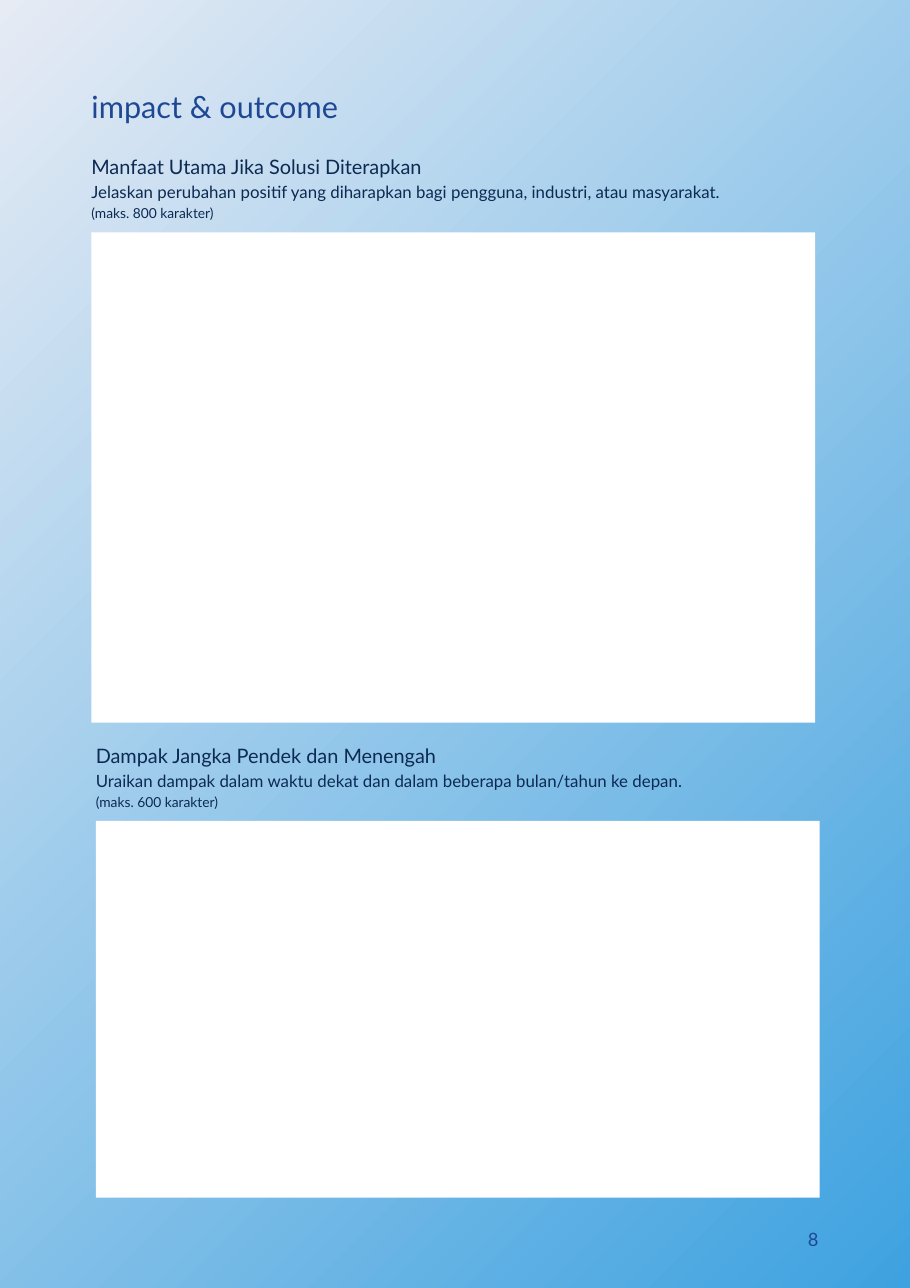
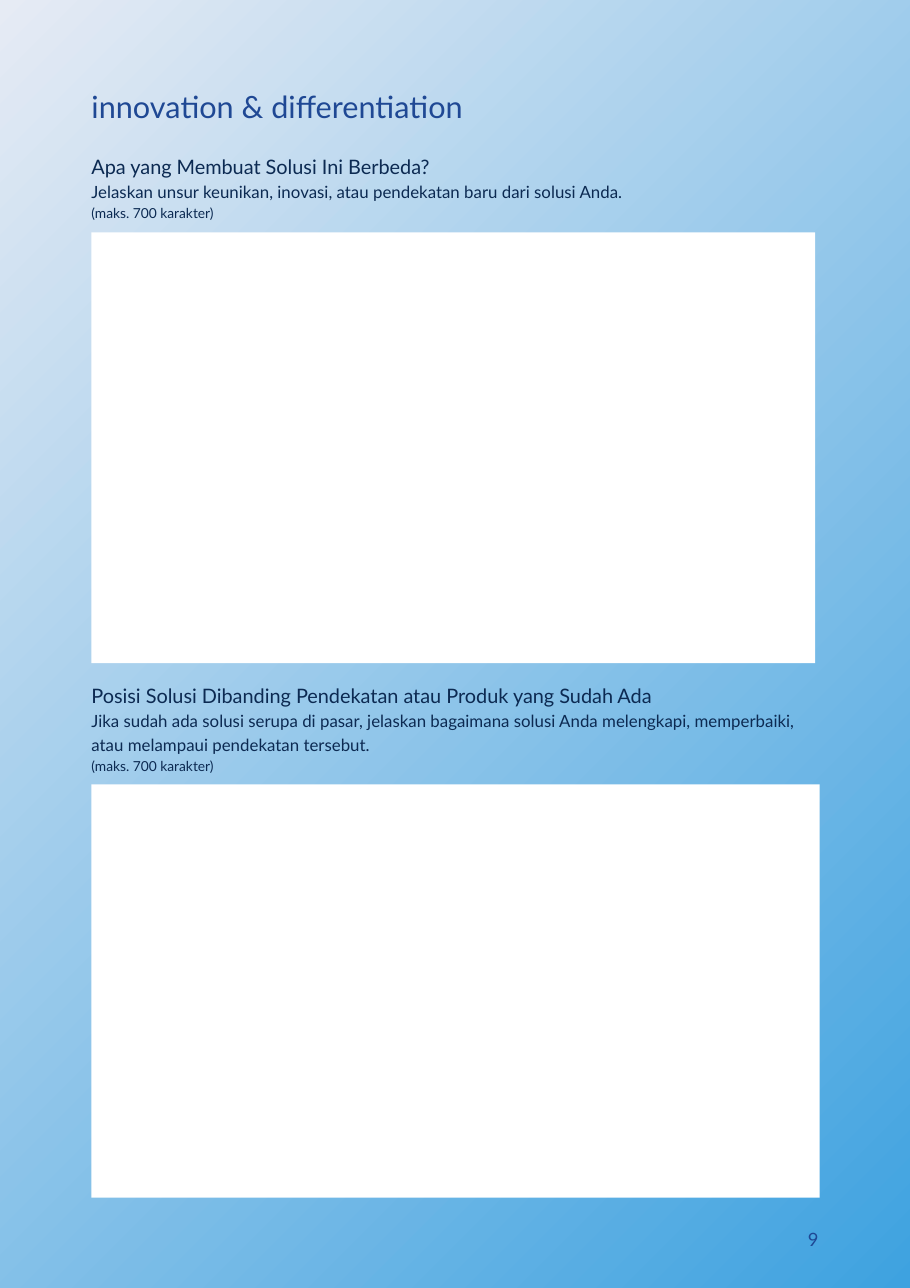
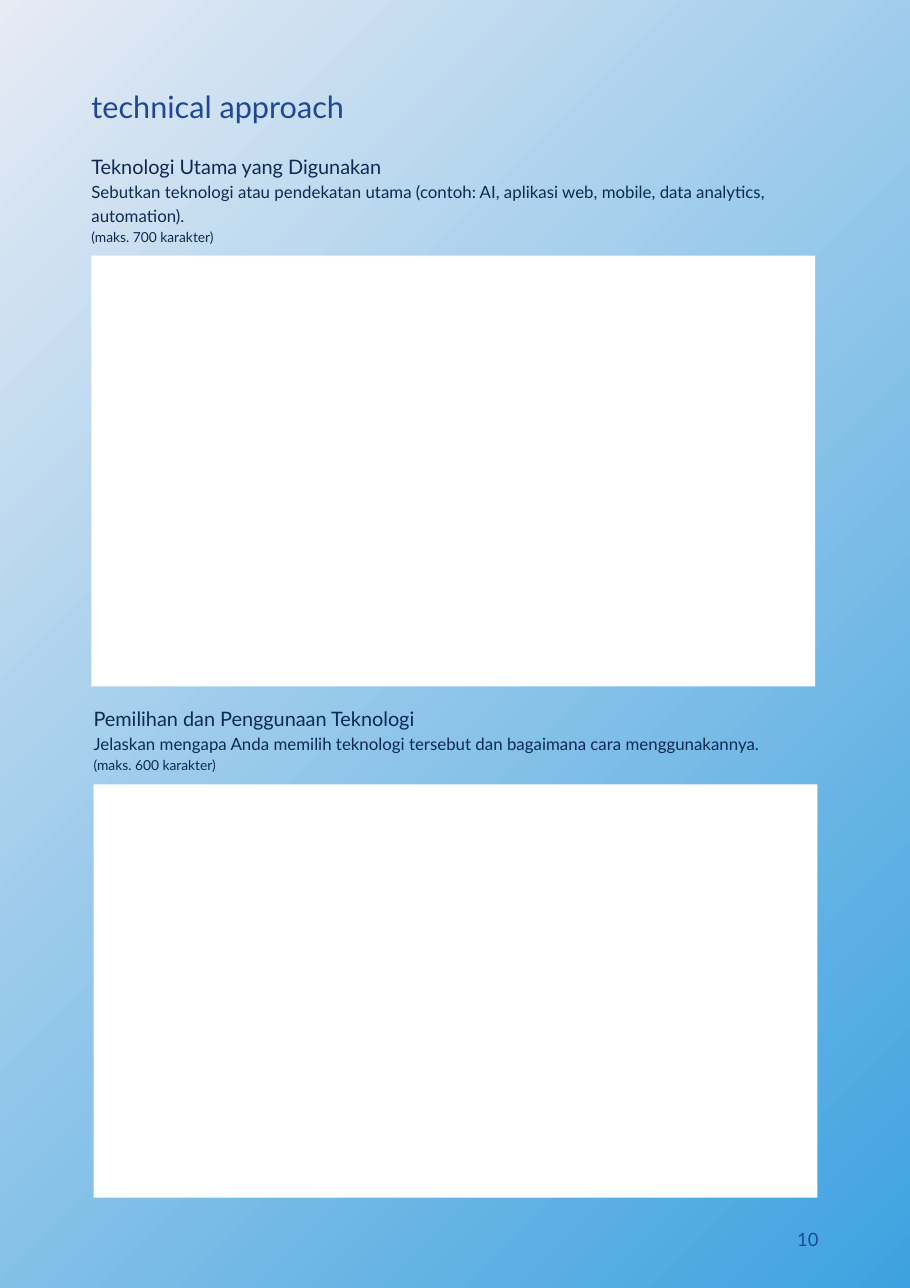
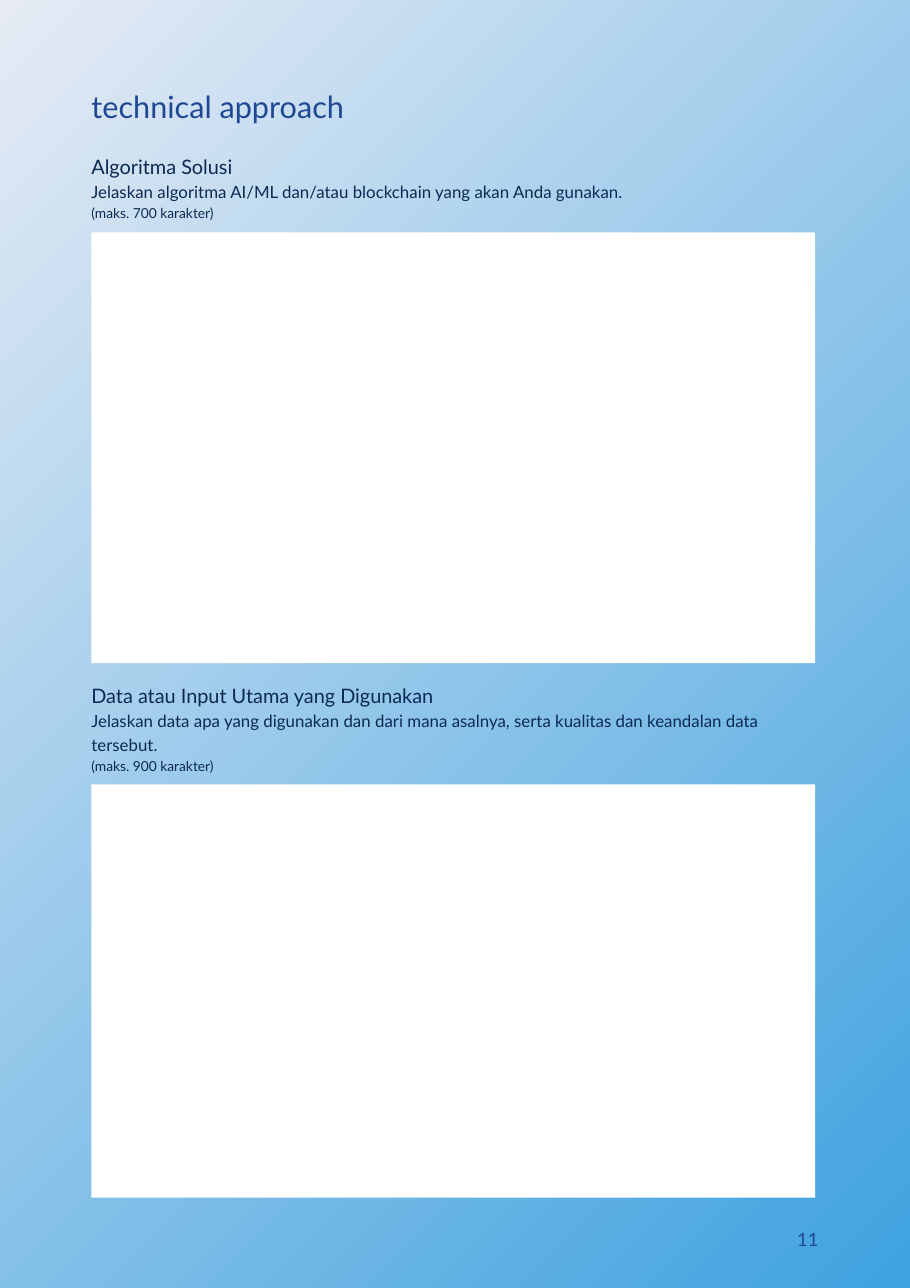
"""Build four proposal form pages with prompts and white answer panels."""
from pptx import Presentation
from pptx.dml.color import RGBColor
from pptx.enum.shapes import MSO_SHAPE
from pptx.enum.text import MSO_ANCHOR, MSO_AUTO_SIZE, PP_ALIGN
from pptx.util import Inches, Pt

PAGES = [
    {"title": "impact & outcome", "sections": [
        {"heading": "Manfaat Utama Jika Solusi Diterapkan",
         "guide": "Jelaskan perubahan positif yang diharapkan bagi pengguna, industri, atau masyarakat.",
         "limit": 800, "panel_height": 4.45},
        {"heading": "Dampak Jangka Pendek dan Menengah",
         "guide": "Uraikan dampak dalam waktu dekat dan dalam beberapa bulan/tahun ke depan.",
         "limit": 600, "left": 0.87},
    ]},
    {"title": "innovation & differentiation", "sections": [
        {"heading": "Apa yang Membuat Solusi Ini Berbeda?",
         "guide": "Jelaskan unsur keunikan, inovasi, atau pendekatan baru dari solusi Anda.",
         "limit": 700, "panel_height": 3.91},
        {"heading": "Posisi Solusi Dibanding Pendekatan atau Produk yang Sudah Ada",
         "guide": "Jika sudah ada solusi serupa di pasar, jelaskan bagaimana solusi Anda melengkapi, "
                  "memperbaiki, atau melampaui pendekatan tersebut.",
         "limit": 700, "guide_lines": 2, "panel_width": 6.61},
    ]},
    {"title": "technical approach", "sections": [
        {"heading": "Teknologi Utama yang Digunakan",
         "guide": "Sebutkan teknologi atau pendekatan utama (contoh: AI, aplikasi web, mobile, "
                  "data analytics, automation).",
         "limit": 700, "guide_lines": 2, "panel_height": 3.91},
        {"heading": "Pemilihan dan Penggunaan Teknologi",
         "guide": "Jelaskan mengapa Anda memilih teknologi tersebut dan bagaimana cara menggunakannya.",
         "limit": 600, "left": 0.85},
    ]},
    {"title": "technical approach", "sections": [
        {"heading": "Algoritma Solusi",
         "guide": "Jelaskan algoritma AI/ML dan/atau blockchain yang akan Anda gunakan.",
         "limit": 700, "panel_height": 3.91},
        {"heading": "Data atau Input Utama yang Digunakan",
         "guide": "Jelaskan data apa yang digunakan dan dari mana asalnya, serta kualitas dan "
                  "keandalan data tersebut.",
         "limit": 900, "guide_lines": 2},
    ]},
]
COLORS = {"title": "1F4894", "text": "0C2A52", "panel": "FFFFFF",
          "sky_light": "E6EBF4", "sky_deep": "3EA2E0"}
FONT = "Lato"
LINE_RATIO = 1.4
FIRST_PAGE = 8
MARGIN = 0.83
NUMBER_RIGHT = 7.43
NUMBER_WIDTH = 0.3
FIRST_TOP = 1.37
PANEL_WIDTH = 6.57
PANEL_BOTTOM = 10.87
PROMPT_GAP = 0.08
SECTION_GAP = 0.15


def write(shape, lines, color="text", align=PP_ALIGN.LEFT):
    """Fill a shape with (text, size) lines in the shared type style."""
    frame = shape.text_frame
    frame.margin_left = frame.margin_top = frame.margin_right = frame.margin_bottom = 0
    frame.word_wrap = True
    frame.auto_size = MSO_AUTO_SIZE.NONE
    frame.vertical_anchor = MSO_ANCHOR.TOP
    for index, (text, size) in enumerate(lines):
        paragraph = frame.add_paragraph() if index else frame.paragraphs[0]
        paragraph.alignment = align
        paragraph.line_spacing = Pt(size * LINE_RATIO)
        run = paragraph.add_run()
        run.text = text
        run.font.name = FONT
        run.font.size = Pt(size)
        run.font.color.rgb = RGBColor.from_string(COLORS[color])


def style_master(presentation):
    """Give every slide the diagonal sky gradient."""
    fill = presentation.slide_master.background.fill
    fill.gradient()
    fill.gradient_angle = 315
    for stop, name in zip(fill.gradient_stops, ("sky_light", "sky_deep")):
        stop.color.rgb = RGBColor.from_string(COLORS[name])


def place_title(layout):
    """Set the title position on the layout so all slides inherit it."""
    title = layout.placeholders[0]
    title.left, title.top = Inches(MARGIN), Inches(0.74)
    title.width, title.height = Inches(6.61), Inches(0.41)


def add_section(slide, section, top):
    """Add a prompt with its answer panel and return the panel bottom."""
    left = Inches(section.get("left", MARGIN))
    prompt_height = 0.45 + 0.21 * section.get("guide_lines", 1)
    prompt = slide.shapes.add_textbox(left, Inches(top), Inches(6.5), Inches(prompt_height))
    write(prompt, [(section["heading"], 13), (section["guide"], 11),
                   (f"(maks. {section['limit']} karakter)", 9)])
    panel_top = top + prompt_height + PROMPT_GAP
    panel_height = section.get("panel_height", PANEL_BOTTOM - panel_top)
    panel = slide.shapes.add_shape(
        MSO_SHAPE.RECTANGLE, left, Inches(panel_top),
        Inches(section.get("panel_width", PANEL_WIDTH)), Inches(panel_height))
    panel.shadow.inherit = False
    panel.fill.solid()
    panel.fill.fore_color.rgb = RGBColor.from_string(COLORS["panel"])
    panel.line.fill.background()
    return panel_top + panel_height


def main():
    """Build and save the pages."""
    presentation = Presentation()
    presentation.slide_width, presentation.slide_height = Inches(8.26), Inches(11.69)
    style_master(presentation)
    layout = presentation.slide_layouts[5]
    place_title(layout)
    for number, page in enumerate(PAGES, FIRST_PAGE):
        slide = presentation.slides.add_slide(layout)
        write(slide.shapes.title, [(page["title"], 20)], color="title")
        top = FIRST_TOP
        for section in page["sections"]:
            top = add_section(slide, section, top) + SECTION_GAP
        page_number = slide.shapes.add_textbox(
            Inches(NUMBER_RIGHT - NUMBER_WIDTH), Inches(11.11),
            Inches(NUMBER_WIDTH), Inches(0.23))
        write(page_number, [(str(number), 12)], color="title", align=PP_ALIGN.RIGHT)
    presentation.save("out.pptx")


if __name__ == "__main__":
    main()
